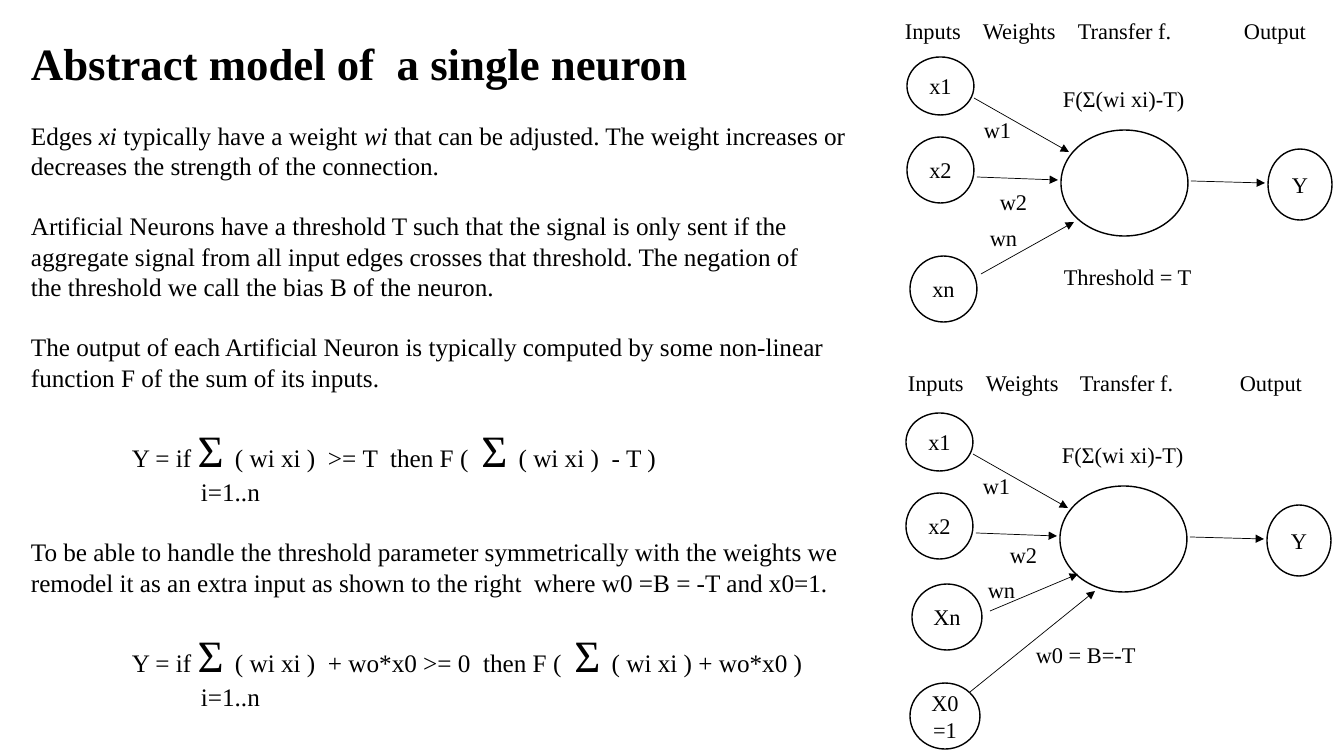
from dataclasses import dataclass

from lxml import etree
from pptx import Presentation
from pptx import util as u
from pptx.dml.color import RGBColor
from pptx.enum import shapes, text
from pptx.oxml.ns import qn

EMU_PER_PIXEL = 914400 / 100.8
FONT = "Times New Roman"
BLACK = "000000"
BODY_SIZE, LABEL_SIZE, LARGE_SIZE = 18, 16, 32
PARAGRAPH_GAP = 21.6


@dataclass
class Node:
    label: str
    x: int
    y: int
    width: int
    height: int


@dataclass
class Arrow:
    x1: int
    y1: int
    x2: int
    y2: int


@dataclass
class Label:
    label: str
    x: int
    y: int
    width: int


@dataclass
class Run:
    words: str
    italic: bool = False
    bold: bool = False
    size: int = BODY_SIZE


@dataclass
class Line:
    runs: list[Run]
    gap: float = 0
    indent: int = 0


def px(pixels: float) -> u.Emu:
    return u.Emu(round(pixels * EMU_PER_PIXEL))


def color(value: str) -> RGBColor:
    return RGBColor.from_string(value)


def write(paragraph, words: str, *, size: int = LABEL_SIZE,
          bold: bool = False, italic: bool = False) -> None:
    run = paragraph.add_run()
    run.text = words
    font = run.font
    font.name, font.size = FONT, u.Pt(size)
    font.bold, font.italic = bold, italic
    font.color.rgb = color(BLACK)


def draw_node(slide, node: Node, dx: int = 0, dy: int = 0) -> None:
    shape = slide.shapes.add_shape(shapes.MSO_SHAPE.OVAL, px(node.x + dx), px(node.y + dy),
                                   px(node.width), px(node.height))
    shape.shadow.inherit = False
    shape.fill.background()
    shape.line.color.rgb = color(BLACK)
    shape.line.width = u.Pt(1)
    if node.label:
        frame = shape.text_frame
        frame.word_wrap = True
        frame.vertical_anchor = text.MSO_ANCHOR.MIDDLE
        frame.paragraphs[0].alignment = text.PP_ALIGN.CENTER
        write(frame.paragraphs[0], node.label)


def draw_arrow(slide, arrow: Arrow, dx: int = 0, dy: int = 0) -> None:
    connector = slide.shapes.add_connector(
        shapes.MSO_CONNECTOR.STRAIGHT, px(arrow.x1 + dx), px(arrow.y1 + dy),
        px(arrow.x2 + dx), px(arrow.y2 + dy))
    connector.line.color.rgb = color(BLACK)
    connector.line.width = u.Pt(0.5)
    etree.SubElement(connector.line._get_or_add_ln(), qn("a:tailEnd"), type="triangle")
    etree.SubElement(connector._element.spPr, qn("a:effectLst"))


def draw_label(slide, label: Label, dx: int = 0, dy: int = 0) -> None:
    box = slide.shapes.add_textbox(px(label.x + dx), px(label.y + dy), px(label.width), px(37))
    box.text_frame.word_wrap = True
    write(box.text_frame.paragraphs[0], label.label)


def draw_all(slide, parts: list, dx: int = 0, dy: int = 0) -> None:
    draw = {Node: draw_node, Arrow: draw_arrow, Label: draw_label}
    for part in parts:
        draw[type(part)](slide, part, dx, dy)


def headings(lefts: list[int], y: int) -> list[Label]:
    names = ["Inputs", "Weights", "Transfer f.", "Output"]
    widths = [80, 98, 120, 88]
    return [Label(name, x, y, width) for name, x, width in zip(names, lefts, widths)]


def equation(condition: str, result: str) -> list[Line]:
    sigma = Run("Σ ", size=LARGE_SIZE)
    return [Line([Run("Y = if "), sigma, Run(condition), sigma, Run(result)],
                 PARAGRAPH_GAP, indent=101),
            Line([Run("i=1..n")], indent=170)]


def draw_body(slide, lines: list[Line]) -> None:
    box = slide.shapes.add_textbox(px(21), px(31), px(845), px(723))
    frame = box.text_frame
    frame.word_wrap = True
    for index, line in enumerate(lines):
        paragraph = frame.add_paragraph() if index else frame.paragraphs[0]
        paragraph.space_before = u.Pt(line.gap)
        paragraph._p.get_or_add_pPr().set("marL", str(px(line.indent)))
        for run in line.runs:
            write(paragraph, run.words, size=run.size, bold=run.bold, italic=run.italic)


# Explanation and equations
BODY = [
    Line([Run("Abstract model of  a single neuron", bold=True, size=LARGE_SIZE)]),
    Line([Run("Edges "), Run("xi ", italic=True), Run("typically have a\u00a0weight "),
          Run("wi", italic=True),
          Run(" that can be adjusted. The weight increases or decreases the strength "
              "of the connection.")], PARAGRAPH_GAP),
    Line([Run("Artificial Neurons have a threshold T such that the signal is only sent if the "
              "aggregate signal from all input edges crosses that threshold. "
              "The negation of")], PARAGRAPH_GAP),
    Line([Run("the threshold we call the bias B of the neuron.")]),
    Line([Run("The output of each Artificial Neuron is typically computed by some non-linear "
              "function F of the sum of its inputs.")], PARAGRAPH_GAP),
    *equation("( wi xi )  >= T  then F (  ", "( wi xi )  - T )"),
    Line([Run("To be able to handle the threshold parameter symmetrically with the weights we "
              "remodel it as an extra input as shown to the right  where w0 =B = -T "
              "and x0=1.")], PARAGRAPH_GAP),
    *equation("( wi xi )  + wo*x0 >= 0  then F (  ", "( wi xi ) + wo*x0 )"),
]

# Parts shared by both neurons
NEURON = [
    Node("x1", 907, 57, 67, 58),
    Node("x2", 907, 137, 67, 66),
    Node("", 1061, 130, 127, 106),
    Node("Y", 1268, 149, 64, 71),
    Arrow(974, 98, 1069, 152),
    Arrow(977, 177, 1058, 180),
    Arrow(1191, 181, 1265, 183),
    Label("w1", 974, 111, 60),
    Label("F(Σ(wi xi)-T)", 1053, 80, 150),
]

# Neuron with a threshold
THRESHOLD = [
    *headings([895, 973, 1068, 1234], 12),
    Node("xn", 910, 256, 67, 66),
    Arrow(981, 274, 1074, 222),
    Label("w2", 990, 183, 60),
    Label("wn", 980, 219, 60),
    Label("Threshold = T", 1054, 258, 155),
]

# Neuron with the bias as an extra input
BIAS = [
    *headings([898, 976, 1070, 1230], 364),
    Node("Xn", 912, 584, 70, 66),
    Node("X0=1", 910, 683, 70, 66),
    Arrow(990, 611, 1078, 574),
    Arrow(970, 692, 1095, 591),
    Label("w2", 1000, 536, 60),
    Label("wn", 978, 571, 60),
    Label("w0 = B=-T", 1026, 636, 130),
]

presentation = Presentation()
presentation.slide_width, presentation.slide_height = px(1344), px(756)
slide = presentation.slides.add_slide(presentation.slide_layouts[6])
draw_body(slide, BODY)
draw_all(slide, NEURON)
draw_all(slide, THRESHOLD)
draw_all(slide, NEURON, dx=-1, dy=356)
draw_all(slide, BIAS)
presentation.save("out.pptx")
